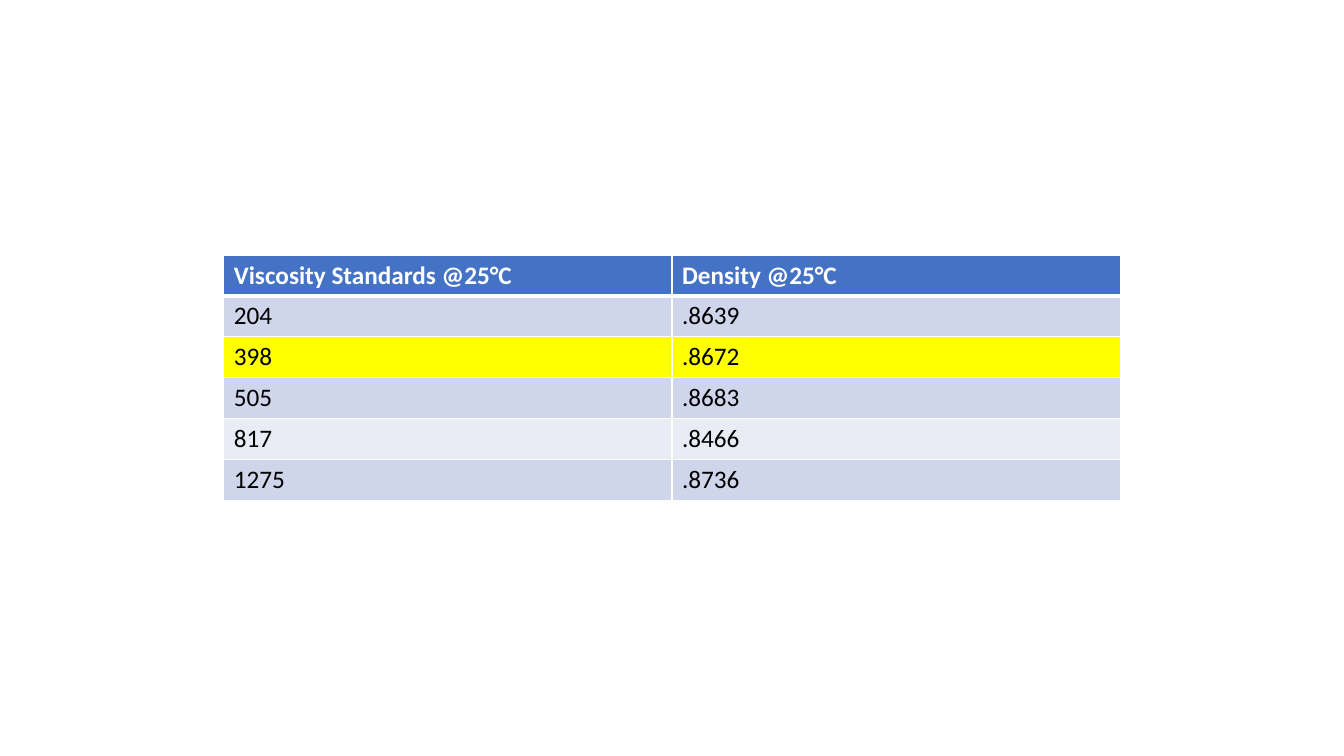
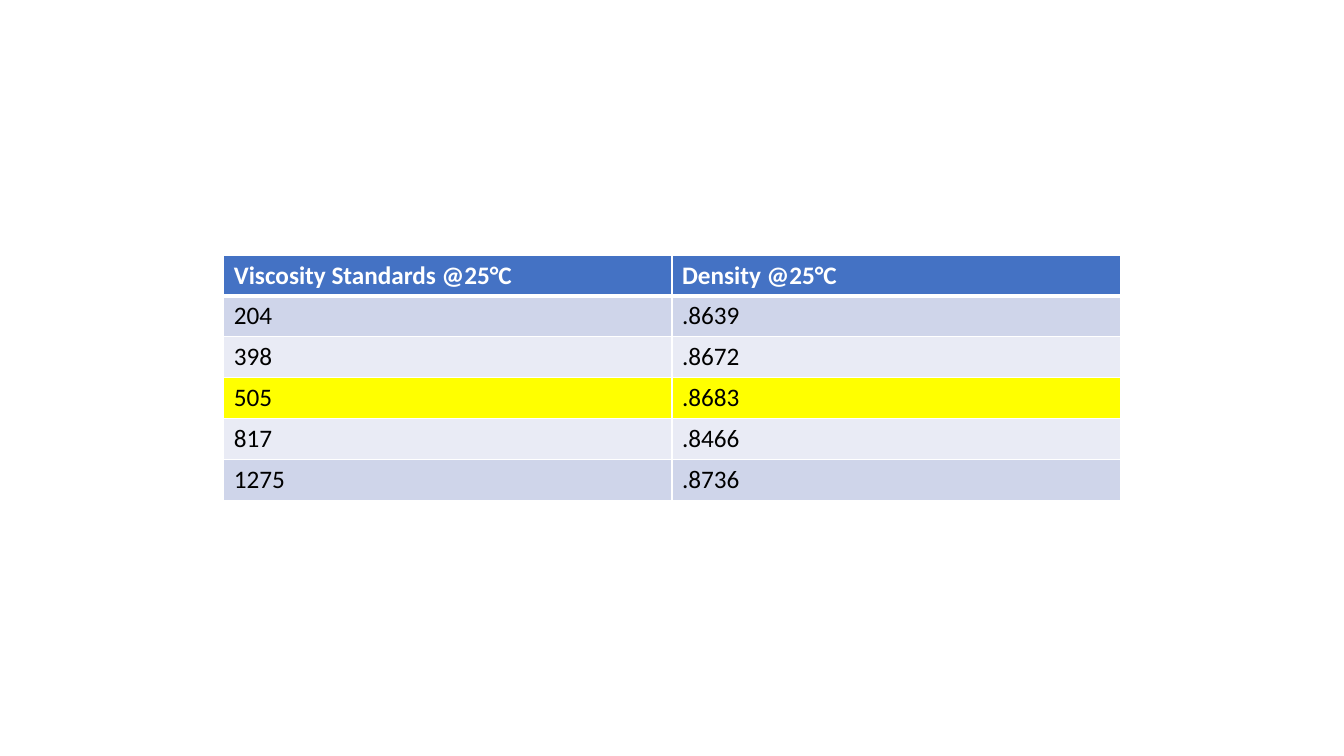
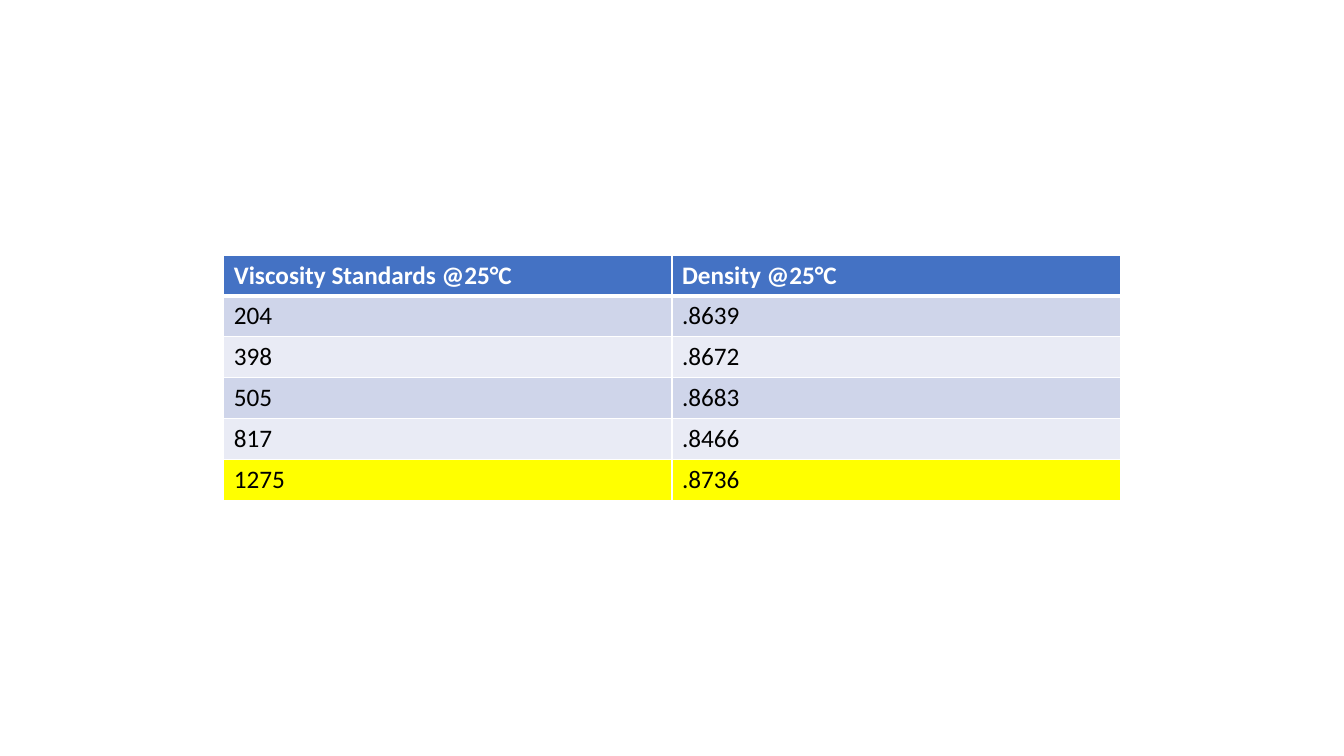
from lxml.etree import SubElement
from pptx import Presentation
from pptx.dml.color import RGBColor
from pptx.oxml.ns import qn
from pptx.util import Inches, Pt

HEADINGS = ("Viscosity Standards @25°C", "Density @25°C")
STANDARDS = (
    ("204", ".8639"),
    ("398", ".8672"),
    ("505", ".8683"),
    ("817", ".8466"),
    ("1275", ".8736"),
)
HIGHLIGHTED = ("398", "505", "1275")


def color(value):
    return RGBColor.from_string(value)


class StandardsDeck:
    """Holds the shared style and the current page of the viscosity deck."""

    FONT = "Calibri"
    SIZE = 18
    WHITE = "FFFFFF"
    BLACK = "000000"
    HEADER = "4472C4"
    BANDS = ("CFD5EA", "E9EBF5")
    HIGHLIGHT = "FFFF00"
    THIN = 1
    THICK = 3

    def __init__(self):
        self.deck = Presentation()
        self.deck.slide_width = Inches(13.33)
        self.deck.slide_height = Inches(7.5)
        self.page = None

    def add_page(self):
        self.page = self.deck.slides.add_slide(self.deck.slide_layouts[6])

    def add_border(self, cell, side, width):
        properties = cell._tc.get_or_add_tcPr()
        line = SubElement(properties, qn(f"a:ln{side}"), w=str(Pt(width)))
        fill = SubElement(line, qn("a:solidFill"))
        SubElement(fill, qn("a:srgbClr"), val=self.WHITE)

    def fill_cell(self, cell, text, row, fill):
        is_header = row == 0
        thick_side = {0: "B", 1: "T"}.get(row)
        for side in "LRTB":
            self.add_border(cell, side, self.THICK if side == thick_side else self.THIN)
        cell.fill.solid()
        cell.fill.fore_color.rgb = color(fill)
        span = cell.text_frame.paragraphs[0].add_run()
        span.text = text
        span.font.name = self.FONT
        span.font.size = Pt(self.SIZE)
        span.font.bold = is_header
        span.font.color.rgb = color(self.WHITE if is_header else self.BLACK)

    def row_fill(self, row, standard, highlighted):
        if row == 0:
            return self.HEADER
        if standard == highlighted:
            return self.HIGHLIGHT
        return self.BANDS[(row - 1) % 2]

    def add_standards_table(self, highlighted):
        rows = (HEADINGS, *STANDARDS)
        frame = self.page.shapes.add_table(
            len(rows), len(HEADINGS),
            Inches(2.22), Inches(2.53), Inches(8.89), Inches(2.43),
        )
        for row, values in enumerate(rows):
            fill = self.row_fill(row, values[0], highlighted)
            for column, text in enumerate(values):
                self.fill_cell(frame.table.cell(row, column), text, row, fill)


def main():
    standards = StandardsDeck()
    for highlighted in HIGHLIGHTED:
        standards.add_page()
        standards.add_standards_table(highlighted)
    standards.deck.save("out.pptx")


if __name__ == "__main__":
    main()
